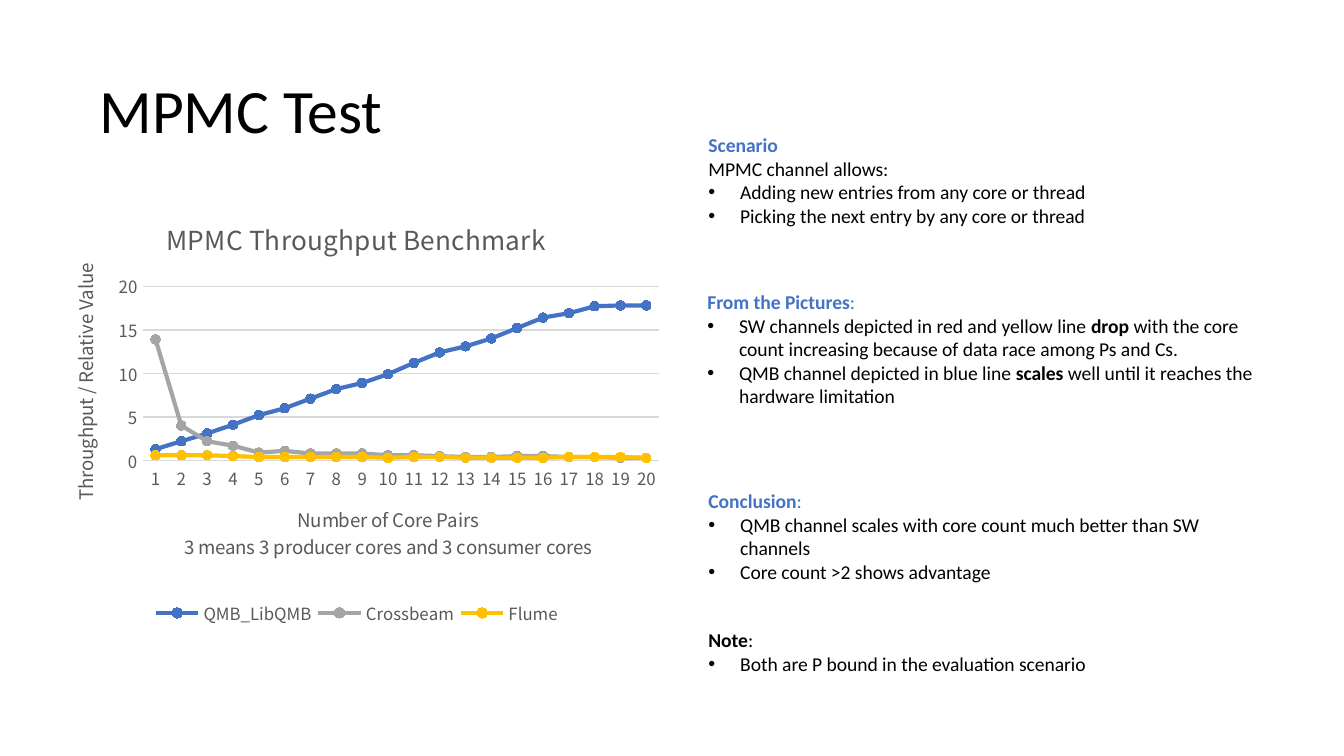
from lxml import etree
from pptx import Presentation
from pptx.chart.data import CategoryChartData
from pptx.dml.color import RGBColor
from pptx.enum.chart import XL_CHART_TYPE, XL_LEGEND_POSITION, XL_MARKER_STYLE, XL_TICK_MARK
from pptx.enum.text import MSO_ANCHOR
from pptx.oxml.ns import qn
from pptx.util import Cm, Pt

LINE_MARKERS = XL_CHART_TYPE.LINE_MARKERS
BOTTOM = XL_LEGEND_POSITION.BOTTOM
CIRCLE = XL_MARKER_STYLE.CIRCLE
NO_TICK = XL_TICK_MARK.NONE
MIDDLE = MSO_ANCHOR.MIDDLE

BLACK = RGBColor(0x00, 0x00, 0x00)
BLUE = RGBColor(0x44, 0x72, 0xC4)
GRAY = RGBColor(0xA5, 0xA5, 0xA5)
YELLOW = RGBColor(0xFF, 0xC0, 0x00)
CHART_TEXT = RGBColor(0x59, 0x59, 0x59)
GRID = RGBColor(0xD9, 0xD9, 0xD9)
TEXT_FONT = "Calibri"
CHART_FONT = "Noto Sans CJK SC"


def style_font(font, name, size, color, bold=False):
    font.name = name
    font.size = Pt(size)
    font.color.rgb = color
    font.bold = bold


def place_in_chart(element, index, **fractions):
    """Fix a chart part at fractions (x, y, w, h) of the chart area."""
    for old_layout in element.findall(qn("c:layout")):
        element.remove(old_layout)
    layout = etree.Element(qn("c:layout"))
    manual = etree.SubElement(layout, qn("c:manualLayout"))
    if element.tag == qn("c:plotArea"):
        etree.SubElement(manual, qn("c:layoutTarget")).set("val", "inner")
    for mode in ("xMode", "yMode"):
        etree.SubElement(manual, qn("c:" + mode)).set("val", "edge")
    for key, value in fractions.items():
        etree.SubElement(manual, qn("c:" + key)).set("val", str(value))
    element.insert(index, layout)


presentation = Presentation()
presentation.slide_width = Cm(25.4)
presentation.slide_height = Cm(14.28)
slide = presentation.slides.add_slide(presentation.slide_layouts[6])

# Slide title
title_box = slide.shapes.add_textbox(Cm(1.75), Cm(0.76), Cm(21.9), Cm(2.77))
text_frame = title_box.text_frame
text_frame.word_wrap = True
text_frame.vertical_anchor = MIDDLE
text_frame.margin_left = text_frame.margin_right = Cm(0.13)
text_frame.text = "MPMC Test"
text_frame.paragraphs[0].line_spacing = 0.9
style_font(text_frame.paragraphs[0].runs[0].font, TEXT_FONT, 33, BLACK)

# Text sections: left, top, width, height, heading, heading colour, heading end,
# plain line, bullets; each bullet is a list of (text, bold)
sections = [
    (13.2, 2.42, 10.54, 1.98, "Scenario", BLUE, "", "MPMC channel allows:",
     [[("Adding new entries from any core or thread", False)],
      [("Picking the next entry by any core or thread", False)]]),
    (13.18, 5.38, 11.05, 2.44, "From the Pictures", BLUE, ":", "",
     [[("SW channels depicted in red and yellow line ", False), ("drop ", True),
       ("with the core count increasing because of data race among Ps and Cs.", False)],
      [("QMB channel depicted in blue line", False), (" scales", True),
       (" well until it reaches the hardware limitation", False)]]),
    (13.2, 9.14, 10.54, 1.98, "Conclusion", BLUE, ":", "",
     [[("QMB channel scales with core count much better than SW channels", False)],
      [("Core count >2 shows advantage", False)]]),
    (13.2, 11.77, 10.54, 1.09, "Note", BLACK, ":", "",
     [[("Both are P bound in the evaluation scenario", False)]]),
]
for left, top, width, height, heading, color, ending, plain_line, bullets in sections:
    section_box = slide.shapes.add_textbox(Cm(left), Cm(top), Cm(width), Cm(height))
    text_frame = section_box.text_frame
    text_frame.word_wrap = True
    text_frame.margin_left = text_frame.margin_right = Cm(0.19)
    text_frame.margin_top = text_frame.margin_bottom = Cm(0.1)

    paragraph = text_frame.paragraphs[0]
    paragraph.text = heading
    style_font(paragraph.runs[0].font, TEXT_FONT, 10.5, color, True)
    if ending:
        run = paragraph.add_run()
        run.text = ending
        style_font(run.font, TEXT_FONT, 10.5, color)
    if plain_line:
        paragraph = text_frame.add_paragraph()
        paragraph.text = plain_line
        style_font(paragraph.runs[0].font, TEXT_FONT, 10.5, BLACK)

    for bullet in bullets:
        paragraph = text_frame.add_paragraph()
        properties = paragraph._p.get_or_add_pPr()
        properties.set("marL", str(Cm(0.6)))
        properties.set("indent", str(-Cm(0.6)))
        etree.SubElement(properties, qn("a:buFont")).set("typeface", "Arial")
        etree.SubElement(properties, qn("a:buChar")).set("char", "•")
        for text, bold in bullet:
            run = paragraph.add_run()
            run.text = text
            style_font(run.font, TEXT_FONT, 10.5, BLACK, bold)

# Throughput chart
throughput = [
    ("QMB_LibQMB", BLUE, [1.3, 2.2, 3.1, 4.1, 5.2, 6, 7.1, 8.2, 8.9, 9.9,
                          11.2, 12.4, 13.1, 14, 15.2, 16.4, 16.9, 17.7, 17.8, 17.8]),
    ("Crossbeam", GRAY, [13.9, 4, 2.2, 1.7, 0.9, 1.1, 0.8, 0.8, 0.8, 0.6,
                         0.6, 0.5, 0.4, 0.4, 0.5, 0.5, 0.4, 0.4, 0.3, 0.3]),
    ("Flume", YELLOW, [0.6, 0.6, 0.6, 0.5, 0.4, 0.4, 0.4, 0.4, 0.4, 0.3,
                       0.4, 0.4, 0.3, 0.3, 0.3, 0.3, 0.4, 0.4, 0.4, 0.3]),
]
chart_data = CategoryChartData()
chart_data.categories = [str(pairs) for pairs in range(1, 21)]
for name, color, values in throughput:
    chart_data.add_series(name, values)
chart = slide.shapes.add_chart(
    LINE_MARKERS, Cm(0.79), Cm(3.68), Cm(11.91), Cm(8.23), chart_data).chart
style_font(chart.font, CHART_FONT, 9, CHART_TEXT)
plot = chart.plots[0]
plot.vary_by_categories = False
for series, (name, color, values) in zip(plot.series, throughput):
    series.smooth = False
    series.format.line.color.rgb = color
    series.format.line.width = Pt(2.25)
    series.marker.style = CIRCLE
    series.marker.size = 5
    series.marker.format.fill.solid()
    series.marker.format.fill.fore_color.rgb = color
    series.marker.format.line.color.rgb = color

# Axes and grid
category_axis, value_axis = chart.category_axis, chart.value_axis
for axis in (category_axis, value_axis):
    axis.major_tick_mark = axis.minor_tick_mark = NO_TICK
    style_font(axis.tick_labels.font, CHART_FONT, 9, CHART_TEXT)
value_axis.minimum_scale = 0
value_axis.maximum_scale = 20
value_axis.major_unit = 5
value_axis.format.line.fill.background()
for line in (category_axis.format.line, value_axis.major_gridlines.format.line):
    line.color.rgb = GRID
    line.width = Pt(0.75)

# Chart title and axis titles
chart_titles = [
    (chart.chart_title, "MPMC Throughput Benchmark", 14, 0.19, 0.04),
    (category_axis.axis_title,
     "Number of Core Pairs\n3 means 3 producer cores and 3 consumer cores", 10, 0.22, 0.7),
    (value_axis.axis_title, "Throughput / Relative Value", 10, 0.04, 0.15),
]
for chart_title, text, size, x, y in chart_titles:
    chart_title.text_frame.text = text
    for paragraph in chart_title.text_frame.paragraphs:
        style_font(paragraph.runs[0].font, CHART_FONT, size, CHART_TEXT)
    place_in_chart(chart_title._element, 1, x=x, y=y)
value_axis.axis_title.text_frame._txBody.bodyPr.set("rot", "-5400000")

# Legend and plot position
chart.has_legend = True
chart.legend.position = BOTTOM
chart.legend.include_in_layout = False
style_font(chart.legend.font, CHART_FONT, 9, CHART_TEXT)
place_in_chart(chart.legend._element, 1, x=0.17, y=0.92, w=0.66, h=0.08)
plot_area = chart._chartSpace.find(".//" + qn("c:plotArea"))
place_in_chart(plot_area, 0, x=0.16, y=0.21, w=0.82, h=0.4)

presentation.save("out.pptx")
